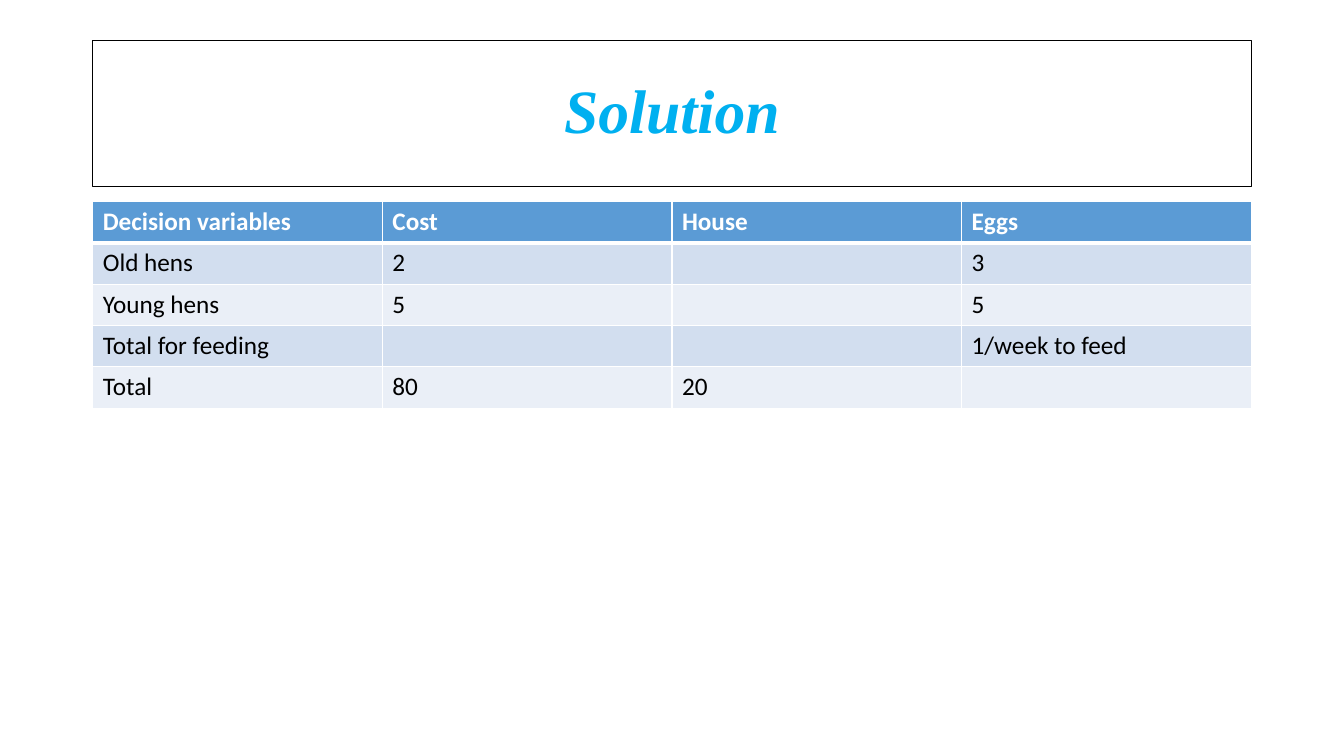
from dataclasses import dataclass

from lxml import etree
from pptx import Presentation
from pptx import util as u
from pptx.dml.color import RGBColor
from pptx.enum import text
from pptx.oxml import ns


@dataclass(frozen=True)
class Theme:
    """Colours, fonts and type sizes of the slide."""
    title: str = "00B0F0"
    outline: str = "000000"
    header: str = "5B9BD5"
    bands: tuple = ("D2DEEF", "EAEFF7")
    light: str = "FFFFFF"
    dark: str = "000000"
    title_font: str = "Times New Roman"
    body_font: str = "Calibri"
    title_size: int = 44
    body_size: int = 18


THEME = Theme()
WIDTH, HEIGHT = u.Inches(13.33), u.Inches(7.5)
MARGIN = u.Inches(0.92)
CONTENT_WIDTH = WIDTH - 2 * MARGIN
ROW_HEIGHT = u.Inches(0.41)

HENS = [
    ("Decision variables", "Cost", "House", "Eggs"),
    ("Old hens", "2", "", "3"),
    ("Young hens", "5", "", "5"),
    ("Total for feeding", "", "", "1/week to feed"),
    ("Total", "80", "20", ""),
]


def style_paragraph(p, font, size, color, align, bold=False, italic=False):
    """Set the alignment and font of a paragraph."""
    p.alignment = align
    p.font.name, p.font.size = font, u.Pt(size)
    p.font.bold, p.font.italic = bold, italic
    p.font.color.rgb = RGBColor.from_string(color)


def add_title(s, words):
    """Fill the title placeholder and frame it."""
    sp = s.shapes.title
    sp.left, sp.top = MARGIN, u.Inches(0.4)
    sp.width, sp.height = CONTENT_WIDTH, u.Inches(1.45)
    sp.line.color.rgb = RGBColor.from_string(THEME.outline)
    sp.line.width = u.Pt(1)
    tf = sp.text_frame
    tf.text = words
    tf.vertical_anchor = text.MSO_ANCHOR.MIDDLE
    p = tf.paragraphs[0]
    p.line_spacing = 0.9
    style_paragraph(p, THEME.title_font, THEME.title_size, THEME.title,
                    text.PP_ALIGN.CENTER, bold=True, italic=True)


def add_borders(cell, bottom):
    """Draw light borders, the bottom one with its own width in points."""
    props = cell._tc.get_or_add_tcPr()
    for side, points in (("L", 1), ("R", 1), ("T", 1), ("B", bottom)):
        line = etree.SubElement(props, ns.qn(f"a:ln{side}"), w=str(u.Pt(points)))
        fill = etree.SubElement(line, ns.qn("a:solidFill"))
        etree.SubElement(fill, ns.qn("a:srgbClr"), val=THEME.light)


def fill_cell(cell, words, row):
    """Write and format one cell according to its row."""
    header = row == 0
    add_borders(cell, bottom=3 if header else 1)
    cell.fill.solid()
    color = THEME.header if header else THEME.bands[(row - 1) % 2]
    cell.fill.fore_color.rgb = RGBColor.from_string(color)
    cell.text = words
    style_paragraph(cell.text_frame.paragraphs[0], THEME.body_font,
                    THEME.body_size, THEME.light if header else THEME.dark,
                    text.PP_ALIGN.JUSTIFY, bold=header)


def add_data_table(s, data, top):
    """Add a table with equal columns and rows."""
    rows, cols = len(data), len(data[0])
    table = s.shapes.add_table(rows, cols, MARGIN, top, CONTENT_WIDTH,
                               rows * ROW_HEIGHT).table
    for row, values in enumerate(data):
        for col, words in enumerate(values):
            fill_cell(table.cell(row, col), words, row)


def main():
    """Build and save the slide."""
    prs = Presentation()
    prs.slide_width, prs.slide_height = WIDTH, HEIGHT
    s = prs.slides.add_slide(prs.slide_layouts.get_by_name("Title Only"))
    add_title(s, "Solution")
    add_data_table(s, HENS, top=u.Inches(2))
    prs.save("out.pptx")


main()
